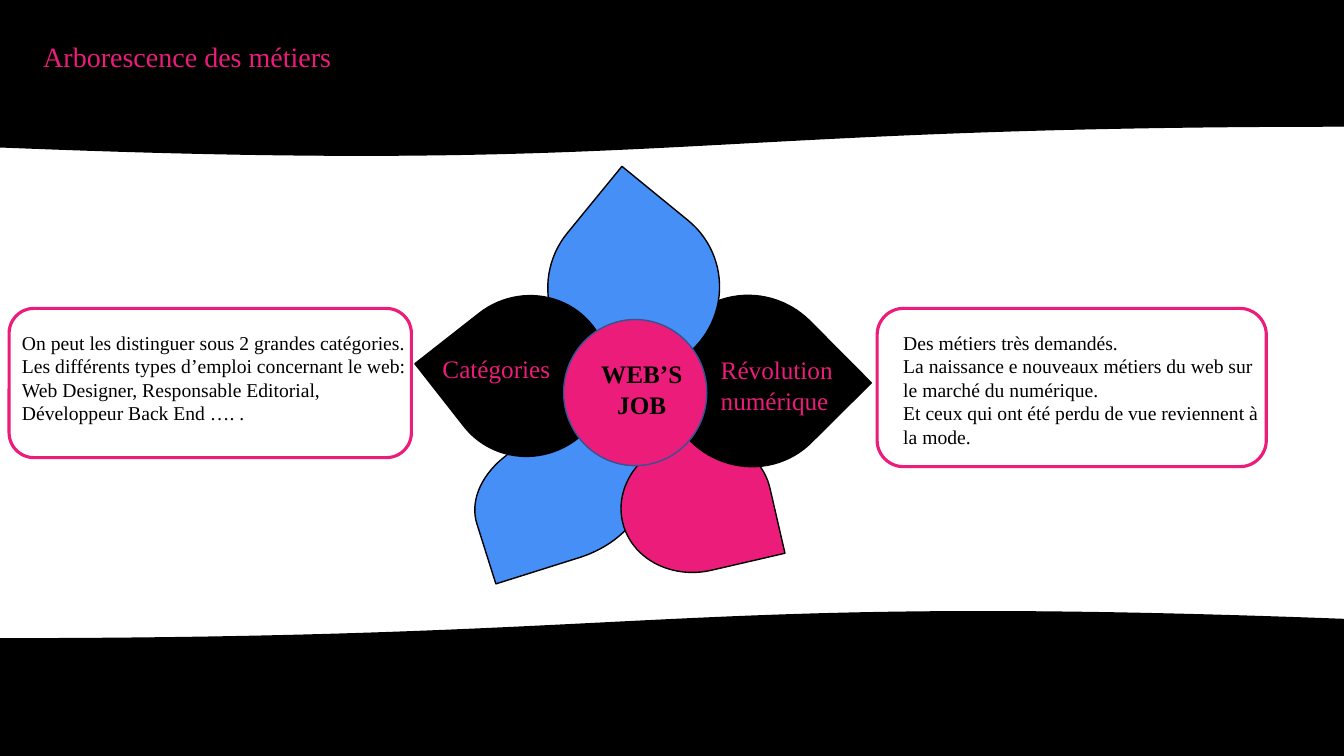
from pptx import Presentation
from pptx.dml.color import RGBColor
from pptx.enum.shapes import MSO_SHAPE as SHAPE
from pptx.enum.text import PP_ALIGN as ALIGN
from pptx.util import Inches, Pt

COLORS = {"black": "000000", "pink": "EC1C7A", "blue": "458FF6", "navy": "325491"}
FONT = "Times New Roman"
WIDTH, HEIGHT = 13.33, 7.5


def rgb(name):
    return RGBColor.from_string(COLORS[name])


def add_shape(s, kind, box, fill=None, line="black", weight=1, rotation=0):
    sp = s.shapes.add_shape(kind, *map(Inches, box))
    sp.shadow.inherit = False
    sp.rotation = rotation
    if fill:
        sp.fill.solid()
        sp.fill.fore_color.rgb = rgb(fill)
    else:
        sp.fill.background()
    sp.line.color.rgb = rgb(line)
    sp.line.width = Pt(weight)
    return sp


def add_text(s, box, lines, size, color, bold=False, align=ALIGN.LEFT):
    tf = s.shapes.add_textbox(*map(Inches, box)).text_frame
    tf.word_wrap = True
    tf.text = "\n".join(lines)
    for p in tf.paragraphs:
        p.alignment = align
        for r in p.runs:
            r.font.name = FONT
            r.font.size = Pt(size)
            r.font.bold = bold
            r.font.color.rgb = rgb(color)


def add_band(s, box, rotation=0):
    add_shape(s, SHAPE.FLOWCHART_DOCUMENT, box, "black", rotation=rotation)


def add_header(s, box, title):
    x, y, w, h = box
    add_band(s, box)
    add_text(s, (x + 0.33, y + 0.34, 3.42, 0.44), [title], 20, "pink")


def add_flower(s, box):
    x, y, w, h = box

    # Petals, back to front: offset, size, rotation, fill
    petals = [
        (0.69, 2.81, 1.74, 1.25, 162.5, "blue"),
        (2.24, 2.76, 1.33, 1.5, 77, "pink"),
        (2.58, 1.44, 1.72, 1.68, 45.2, "black"),
        (1.43, 0.5, 1.71, 1.7, 309.3, "blue"),
        (0.45, 1.42, 1.58, 1.62, 231.9, "black"),
    ]
    for dx, dy, pw, ph, rotation, fill in petals:
        add_shape(s, SHAPE.TEAR, (x + dx, y + dy, pw, ph), fill, rotation=rotation)

    # Centre and labels
    add_shape(s, SHAPE.OVAL, (x + 1.59, y + 1.67, 1.42, 1.45), "pink", "navy")
    add_text(s, (x + 1.85, y + 2.01, 1.03, 0.71), ["WEB’S", "JOB"], 18, "black",
             bold=True, align=ALIGN.CENTER)
    add_text(s, (x + 0.29, y + 1.96, 1.41, 0.4), ["Catégories"], 18, "pink")
    add_text(s, (x + 3.05, y + 1.97, 1.41, 0.71), ["Révolution numérique"], 18, "pink")


def add_card(s, box, lines, indent, text_width):
    x, y, w, h = box
    add_text(s, (x + indent, y + 0.17, text_width, h - 0.3), lines, 14, "black")
    add_shape(s, SHAPE.ROUNDED_RECTANGLE, box, line="pink", weight=2.25)


prs = Presentation()
prs.slide_width, prs.slide_height = Inches(WIDTH), Inches(HEIGHT)
s = prs.slides.add_slide(prs.slide_layouts[6])

# Header and footer bands
add_header(s, (0, 0, WIDTH, 1.56), "Arborescence des métiers")
add_band(s, (0, 6.05, WIDTH, 1.45), rotation=180)

# Central flower
add_flower(s, (4, 1.5, 4.7, 4.4))

# Side cards
add_card(s, (0.09, 3.06, 3.99, 1.48), [
    "On peut les distinguer sous 2 grandes catégories.",
    "Les différents types d’emploi concernant le web:",
    "Web Designer, Responsable Editorial,",
    "Développeur Back End …. .",
], indent=0.03, text_width=4.23)
add_card(s, (8.7, 3.06, 3.86, 1.57), [
    "Des métiers très demandés.",
    "La naissance e nouveaux métiers du web sur le marché du numérique.",
    "Et ceux qui ont été perdu de vue reviennent à la mode.",
], indent=0.16, text_width=3.75)

prs.save("out.pptx")
